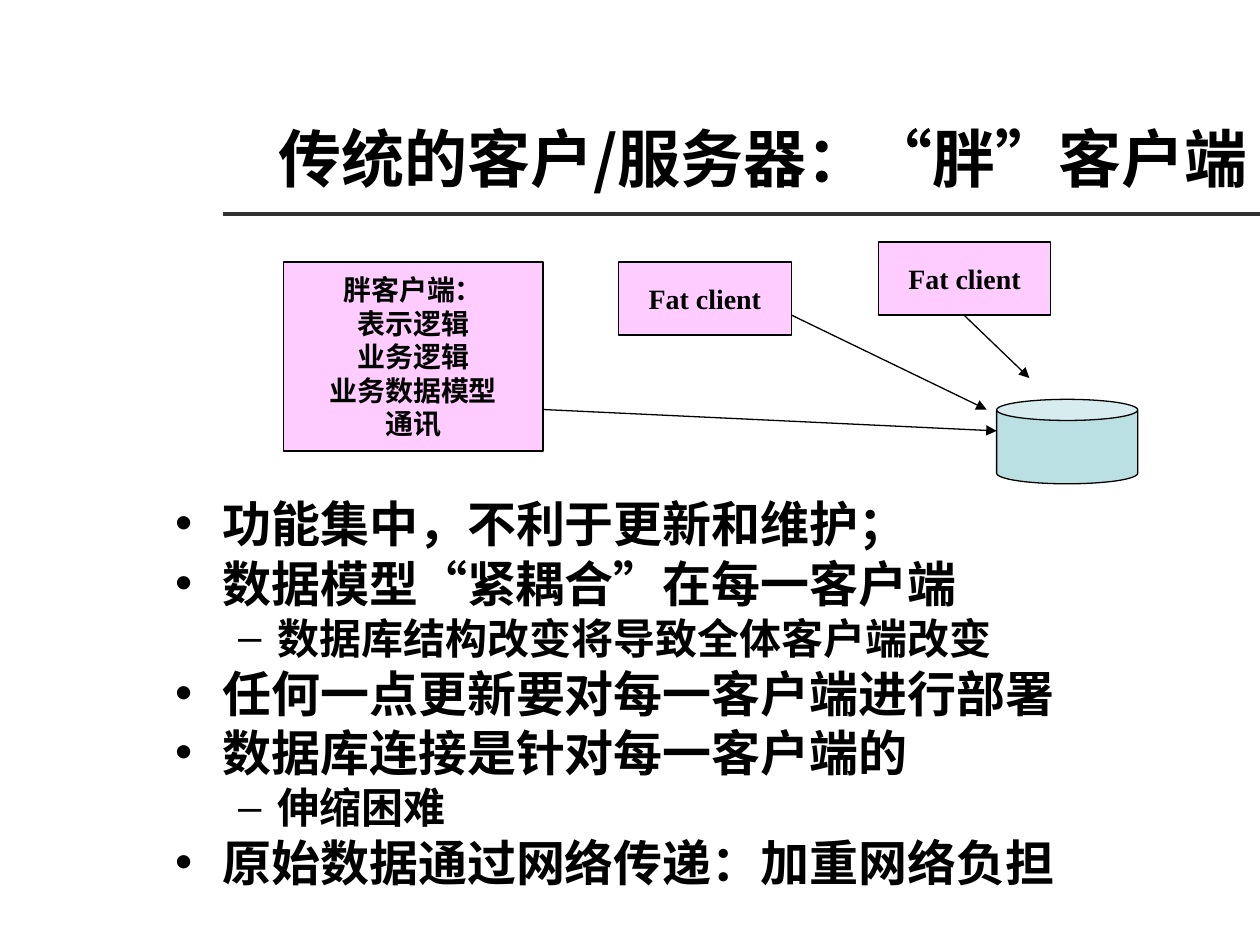
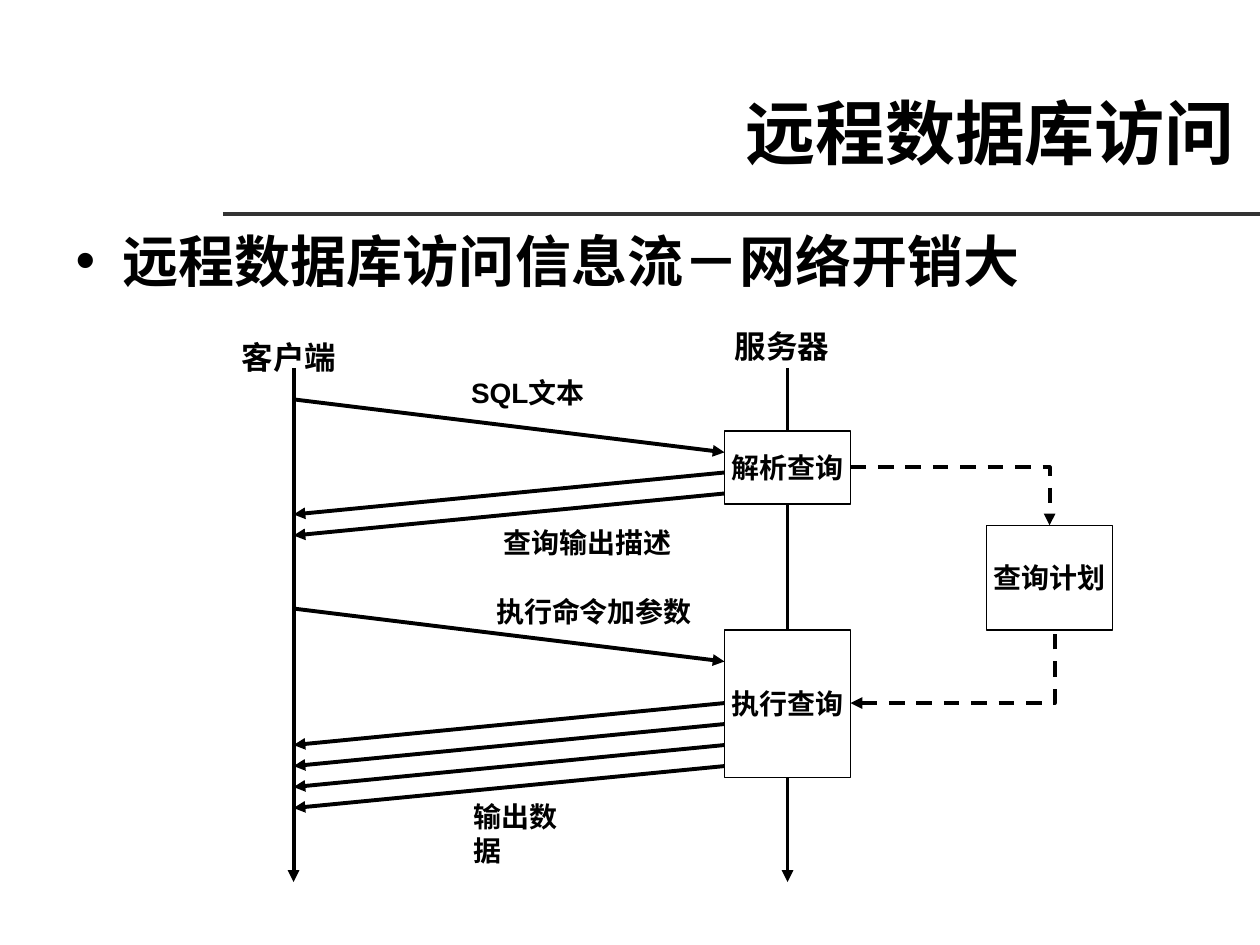
"""Build two slides on fat clients and remote database access."""
from dataclasses import dataclass
from itertools import groupby
from typing import Any, Optional

from lxml.etree import SubElement
from pptx import Presentation
from pptx.dml.color import RGBColor
from pptx.enum.dml import MSO_LINE
from pptx.enum.shapes import MSO_CONNECTOR as Connector, MSO_SHAPE as Preset
from pptx.enum.text import MSO_ANCHOR as Anchor, MSO_AUTO_SIZE as AutoSize, PP_ALIGN as Align
from pptx.oxml.ns import qn
from pptx.util import Inches, Pt

BLACK = RGBColor(0x00, 0x00, 0x00)
WHITE = RGBColor(0xFF, 0xFF, 0xFF)
RULE_GRAY = RGBColor(0x33, 0x33, 0x33)
CLIENT_PINK = RGBColor(0xFF, 0xCC, 0xFF)
DATABASE_TEAL = RGBColor(0xBB, 0xE0, 0xE3)
CJK_FONT = "Noto Sans CJK SC"
LATIN_FONT = "Arial"
SERIF_FONT = "Times New Roman"
THIN, THICK = 0.75, 2.25
QUOTES = "“”"
CLIENT_X, SERVER_X, SERVER_BOX_X = 2.33, 6.25, 5.75
ROW_GAP = 1 / 6


@dataclass(frozen=True)
class Area:
    """Place and size in inches."""
    left: float
    top: float
    width: float
    height: float

    def lengths(self) -> tuple:
        return tuple(Inches(v) for v in (self.left, self.top, self.width, self.height))


@dataclass(frozen=True)
class Box:
    """A rectangle with centred text."""
    text: str
    area: Area
    fill: Optional[RGBColor] = None


@dataclass(frozen=True)
class Arrow:
    """A straight arrow between two points."""
    start: tuple
    end: tuple


@dataclass(frozen=True)
class Item:
    """A list entry at a given level."""
    text: str
    level: int = 0


def write(paragraph: Any, text: str, *, size: float, font: str = LATIN_FONT,
          align: Optional[Align] = None) -> None:
    """Write bold black text, with the quotation marks in the Latin font."""
    paragraph.alignment = align
    for is_quote, letters in groupby(text, key=lambda letter: letter in QUOTES):
        run = paragraph.add_run()
        run.text = "".join(letters)
        run.font.size = Pt(size)
        run.font.bold = True
        run.font.color.rgb = BLACK
        run.font.name = LATIN_FONT if is_quote else font
        SubElement(run.font._element, qn("a:ea"), typeface=CJK_FONT)


def place(shape: Any, area: Area) -> None:
    """Move a placeholder to an area."""
    shape.left, shape.top, shape.width, shape.height = area.lengths()


def add_slide(presentation: Any, title: str, title_area: Area, title_size: float,
              items: list[Item], body_area: Area, *, sizes: tuple, gaps: tuple,
              spacing: float = 1.0) -> Any:
    """Add a slide with a right-aligned title and a bulleted list."""
    slide = presentation.slides.add_slide(presentation.slide_layouts[1])
    heading, body = slide.shapes.title, slide.placeholders[1]
    place(heading, title_area)
    place(body, body_area)
    for frame in (heading.text_frame, body.text_frame):
        frame.auto_size = AutoSize.NONE
        frame.word_wrap = True
    write(heading.text_frame.paragraphs[0], title, size=title_size, font=CJK_FONT,
          align=Align.RIGHT)
    for index, item in enumerate(items):
        frame = body.text_frame
        paragraph = frame.add_paragraph() if index else frame.paragraphs[0]
        paragraph.level = item.level
        paragraph.line_spacing = spacing
        paragraph.space_before = Pt(gaps[item.level] if index else 0)
        write(paragraph, item.text, size=sizes[item.level], font=CJK_FONT)
    return slide


def fill_text(shape: Any, text: str, *, size: float = 16, font: str = LATIN_FONT,
              align: Optional[Align] = Align.CENTER, anchor: Anchor = Anchor.MIDDLE) -> None:
    """Write unwrapped lines of text into a shape."""
    frame = shape.text_frame
    frame.word_wrap = False
    frame.vertical_anchor = anchor
    for index, line in enumerate(text.split("\n")):
        paragraph = frame.add_paragraph() if index else frame.paragraphs[0]
        write(paragraph, line, size=size, font=font, align=align)


def add_outlined(shapes: Any, preset: Preset, area: Area, fill: Optional[RGBColor]) -> Any:
    """Add a preset shape with a thin black outline."""
    shape = shapes.add_shape(preset, *area.lengths())
    shape.shadow.inherit = False
    if fill is None:
        shape.fill.background()
    else:
        shape.fill.solid()
        shape.fill.fore_color.rgb = fill
    shape.line.color.rgb = BLACK
    shape.line.width = Pt(THIN)
    return shape


def add_box(shapes: Any, box: Box, font: str = LATIN_FONT) -> None:
    """Add a rectangle with its text."""
    fill_text(add_outlined(shapes, Preset.RECTANGLE, box.area, box.fill), box.text, font=font)


def add_label(shapes: Any, text: str, area: Area, *, heading: bool = False) -> None:
    """Add a lifeline heading or a message label."""
    label = shapes.add_textbox(*area.lengths())
    if heading:
        fill_text(label, text, size=18)
    else:
        fill_text(label, text, align=None, anchor=Anchor.TOP)
        label.text_frame.auto_size = AutoSize.SHAPE_TO_FIT_TEXT


def add_line(shapes: Any, start: tuple, end: tuple, *, width: float, color: RGBColor = BLACK,
             kind: Connector = Connector.STRAIGHT, arrow: Optional[str] = "tailEnd",
             dashed: bool = False) -> Any:
    """Add a connector with an optional arrowhead at one end."""
    line = shapes.add_connector(kind, *(Inches(value) for value in (*start, *end)))
    line.line.color.rgb = color
    line.line.width = Pt(width)
    if dashed:
        line.line.dash_style = MSO_LINE.DASH
    properties = line._element.spPr
    if arrow:
        SubElement(properties.find(qn("a:ln")), qn(f"a:{arrow}"), type="triangle")
    SubElement(properties, qn("a:effectLst"))
    return line


def add_elbow(shapes: Any, start: tuple, end: tuple, *, preset: str, arrow: str,
              bend: Optional[int] = None) -> None:
    """Add a dashed elbow arrow, with its bend in thousandths of a percent."""
    elbow = add_line(shapes, start, end, width=THICK, kind=Connector.ELBOW, arrow=arrow,
                     dashed=True)
    geometry = elbow._element.spPr.find(qn("a:prstGeom"))
    geometry.set("prst", preset)
    if bend is not None:
        SubElement(geometry.find(qn("a:avLst")), qn("a:gd"), name="adj1", fmla=f"val {bend}")


def add_master_rule(presentation: Any, slide: Any) -> None:
    """Put the line under the title on the slide master."""
    rule = add_line(slide.shapes, (1.77, 1.7), (10, 1.7), width=THICK, color=RULE_GRAY,
                    arrow=None)
    rule._element.nvCxnSpPr.cNvPr.set("id", "20")
    presentation.slide_master.shapes.element.append(rule._element)


def build_fat_client(presentation: Any) -> Any:
    """Build the slide on the fat client."""
    items = [
        Item("功能集中，不利于更新和维护；"),
        Item("数据模型“紧耦合”在每一客户端"),
        Item("数据库结构改变将导致全体客户端改变", 1),
        Item("任何一点更新要对每一客户端进行部署"),
        Item("数据库连接是针对每一客户端的"),
        Item("伸缩困难", 1),
        Item("原始数据通过网络传递：加重网络负担"),
    ]
    slide = add_slide(presentation, "传统的客户/服务器：“胖”客户端", Area(1.25, 0.75, 8.75, 1),
                      36, items, Area(1.29, 3.96, 8.75, 3.25), sizes=(28, 24), gaps=(7, 6),
                      spacing=0.8)
    diagram = slide.shapes.add_group_shape().shapes
    database = add_outlined(diagram, Preset.CAN, Area(7.91, 3.17, 1.12, 0.67), DATABASE_TEAL)
    database.adjustments[0] = 0.25
    layers = "胖客户端：\n表示逻辑\n业务逻辑\n业务数据模型\n通讯"
    for box in (
        Box(layers, Area(2.25, 2.08, 2.06, 1.5), CLIENT_PINK),
        Box("Fat client", Area(4.91, 2.08, 1.37, 0.58), CLIENT_PINK),
        Box("Fat client", Area(6.97, 1.92, 1.37, 0.58), CLIENT_PINK),
    ):
        add_box(diagram, box, SERIF_FONT)
    for arrow in (
        Arrow((4.31, 3.25), (7.91, 3.42)),
        Arrow((6.28, 2.5), (7.83, 3.25)),
        Arrow((7.65, 2.5), (8.17, 3)),
    ):
        add_line(diagram, arrow.start, arrow.end, width=THIN)
    return slide


def build_remote_access(presentation: Any) -> None:
    """Build the slide on remote database access."""
    slide = add_slide(presentation, "远程数据库访问", Area(1.77, 0.38, 8.13, 1.32), 40,
                      [Item("远程数据库访问信息流－网络开销大")], Area(0.5, 1.75, 9.23, 0.67),
                      sizes=(32,), gaps=(8,))
    shapes = slide.shapes
    for lifeline_x in (CLIENT_X, SERVER_X):
        add_line(shapes, (lifeline_x, 2.92), (lifeline_x, 7), width=THICK)
    for box in (
        Box("解析查询", Area(SERVER_BOX_X, 3.42, 1, 0.58), WHITE),
        Box("执行查询", Area(SERVER_BOX_X, 5, 1, 1.17), WHITE),
        Box("查询计划", Area(7.83, 4.17, 1, 0.83)),
    ):
        add_box(shapes, box)
    for request_y in (3.17, 4.83):
        add_line(shapes, (CLIENT_X, request_y), (SERVER_BOX_X, request_y + 0.42), width=THICK)
    for first_y, count in ((3.75, 2), (5.58, 4)):
        for row in range(count):
            reply_y = first_y + row * ROW_GAP
            add_line(shapes, (SERVER_BOX_X, reply_y), (CLIENT_X, reply_y + 2 * ROW_GAP),
                     width=THICK)
    add_elbow(shapes, (6.75, 3.71), (8.33, 4.17), preset="bentConnector2", arrow="tailEnd")
    add_elbow(shapes, (6.75, 5.58), (8.33, 5), preset="bentConnector3", arrow="headEnd",
              bend=102600)
    add_label(shapes, "客户端", Area(1.67, 2.67, 1.25, 0.33), heading=True)
    add_label(shapes, "服务器", Area(5.58, 2.58, 1.25, 0.33), heading=True)
    for text, area in (
        ("SQL文本", Area(3.64, 2.93, 1.15, 0.37)),
        ("查询输出描述", Area(3.9, 4.12, 1.53, 0.37)),
        ("执行命令加参数", Area(3.84, 4.67, 1.75, 0.37)),
        ("输出数据", Area(3.66, 6.3, 1.08, 0.37)),
    ):
        add_label(shapes, text, area)


def main() -> None:
    """Build and save the presentation."""
    presentation = Presentation()
    presentation.slide_width, presentation.slide_height = Inches(10), Inches(7.5)
    first_slide = build_fat_client(presentation)
    add_master_rule(presentation, first_slide)
    build_remote_access(presentation)
    presentation.save("out.pptx")


if __name__ == "__main__":
    main()
